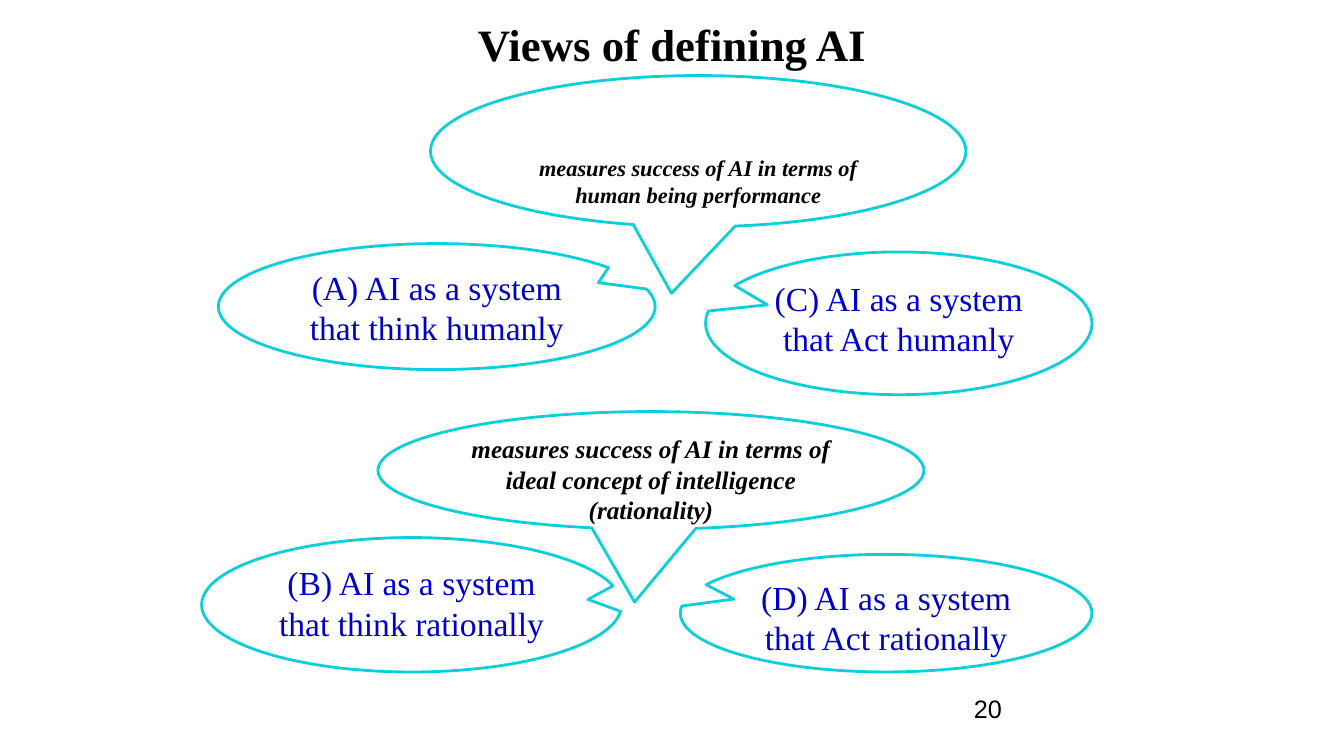
from dataclasses import dataclass

from pptx import Presentation
from pptx.dml.color import RGBColor
from pptx.enum.shapes import MSO_SHAPE
from pptx.enum.text import MSO_ANCHOR, PP_ALIGN
from pptx.util import Inches, Pt

COLUMNS, ROWS = 160, 90
CELL = Inches(1) / 12


@dataclass(frozen=True)
class Theme:
    serif: str = "Times New Roman"
    sans: str = "Arial"
    ink: RGBColor = RGBColor(0x00, 0x00, 0x00)
    blue: RGBColor = RGBColor(0x00, 0x00, 0xCC)
    outline: RGBColor = RGBColor(0x0B, 0xD0, 0xD9)
    paper: RGBColor = RGBColor(0xFF, 0xFF, 0xFF)
    title: int = 32
    view: int = 24
    body: int = 18
    small: int = 16
    line: int = 2


THEME = Theme()

VIEWS = [
    ("(A) AI as a system that think humanly", (26, 29, 52, 15), (0.37, -0.19)),
    ("(C) AI as a system that Act humanly", (84, 30, 46, 17), (-0.34, -0.13)),
    ("(B) AI as a system that think rationally", (24, 64, 50, 16), (0.42, -0.04)),
    ("(D) AI as a system that Act rationally", (81, 66, 49, 14), (-0.37, -0.12)),
]


def place(cells):
    return [round(n * CELL) for n in cells]


def write(sp, text, size, color=THEME.ink, name=THEME.serif, align=PP_ALIGN.CENTER,
          bold=False, italic=False):
    tf = sp.text_frame
    tf.word_wrap = True
    tf.vertical_anchor = MSO_ANCHOR.TOP
    tf.text = text
    p = tf.paragraphs[0]
    p.alignment = align
    font = p.runs[0].font
    font.name, font.size, font.bold, font.italic = name, Pt(size), bold, italic
    font.color.rgb = color
    return tf


def add_label(s, cells, text, size, **style):
    return write(s.shapes.add_textbox(*place(cells)), text, size, **style)


def add_bubble(s, cells, tip, text, size, **style):
    sp = s.shapes.add_shape(MSO_SHAPE.OVAL_CALLOUT, *place(cells))
    sp.adjustments[0], sp.adjustments[1] = tip
    sp.shadow.inherit = False
    sp.fill.solid()
    sp.fill.fore_color.rgb = THEME.paper
    sp.line.color.rgb = THEME.outline
    sp.line.width = Pt(THEME.line)
    return write(sp, text, size, **style)


def main():
    prs = Presentation()
    prs.slide_width, prs.slide_height = place((COLUMNS, ROWS))
    s = prs.slides.add_slide(prs.slide_layouts[6])

    tf = add_label(s, (26, 0, 108, 8.4), "Views of defining AI", THEME.title, bold=True)
    tf.vertical_anchor = MSO_ANCHOR.BOTTOM
    tf.margin_left = tf.margin_right = tf.margin_bottom = 0

    for text, cells, tip in VIEWS:
        add_bubble(s, cells, tip, text, THEME.view, color=THEME.blue)

    tf = add_bubble(s, (51.25, 9, 63.75, 18), (-0.05, 0.94),
                    "measures success of AI in terms of human being performance",
                    THEME.small, bold=True, italic=True)
    tf.margin_top = Inches(0.56)
    add_bubble(s, (45, 49, 65, 14), (-0.03, 1.12),
               "measures success of AI in terms of ideal concept of intelligence (rationality)",
               THEME.body, bold=True, italic=True)

    add_label(s, (114.75, 82, 37.25, 6), "20", THEME.body, name=THEME.sans,
              align=PP_ALIGN.LEFT)
    prs.save("out.pptx")


if __name__ == "__main__":
    main()
